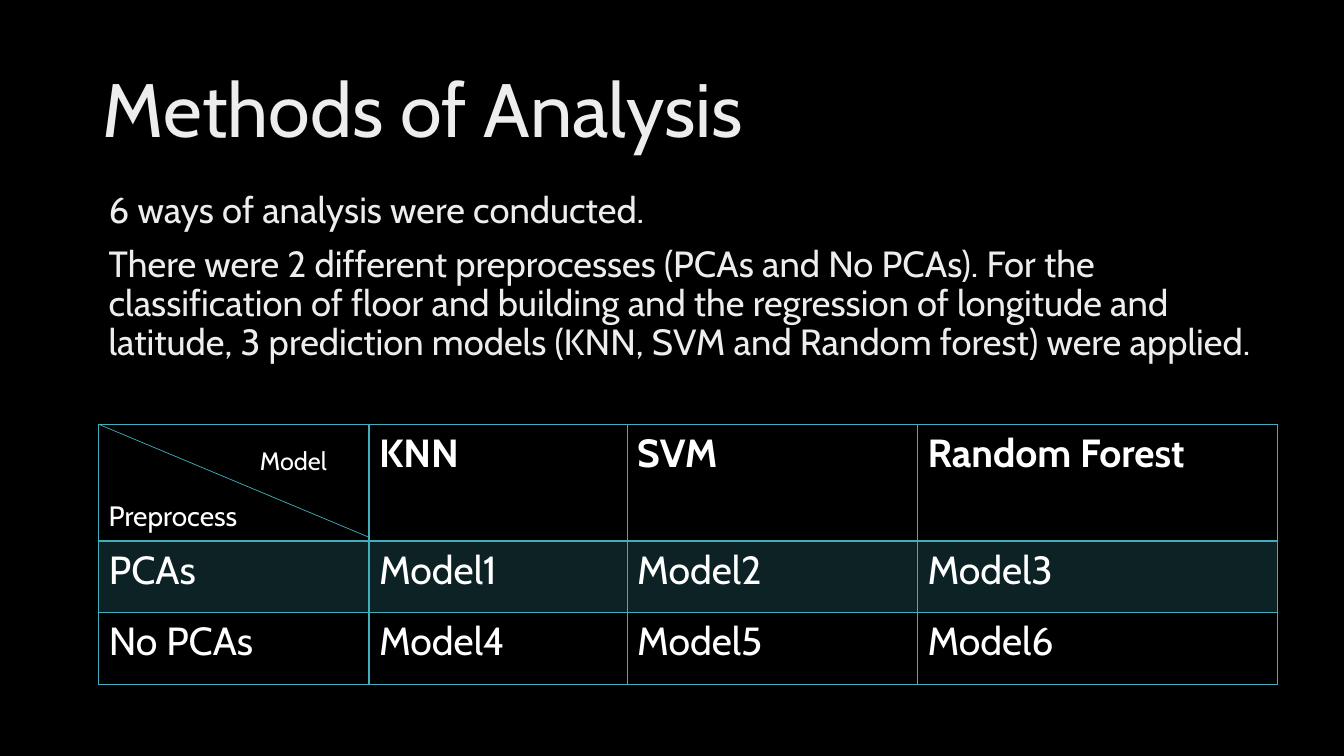
import pptx
import pptx.dml.color
import pptx.enum.shapes
import pptx.enum.text
import pptx.oxml
import pptx.oxml.ns
import pptx.util
from pptx.util import Inches

COLOURS = {"background": "000000", "heading": "EDEDED", "text": "FFFFFF", "teal": "41AEBD"}
FONT = "Cabin"
COLUMN_WIDTHS = [2.68, 2.56, 2.88, 3.57]
ROW_HEIGHTS = [1.16, 0.71, 0.71]
MODEL_GRID = [
    ["", "KNN", "SVM", "Random Forest"],
    ["PCAs", "Model1", "Model2", "Model3"],
    ["No PCAs", "Model4", "Model5", "Model6"],
]
BODY = [
    "6 ways of analysis were conducted.",
    "There were 2 different preprocesses (PCAs and No PCAs). For the classification of floor "
    "and building and the regression of longitude and latitude, 3 prediction models "
    "(KNN, SVM and Random forest) were applied.",
]


def colour(name):
    """Return the named colour."""
    return pptx.dml.color.RGBColor.from_string(COLOURS[name])


def write(frame, lines, size, colour_name, bold=False, line_spacing=None, space_before=0):
    """Fill a text frame with left-aligned paragraphs in one style."""
    frame.text = "\n".join(lines)
    for para in frame.paragraphs:
        para.alignment = pptx.enum.text.PP_ALIGN.LEFT
        para.line_spacing = line_spacing
        para.space_before = pptx.util.Pt(space_before)
        para.font.name = FONT
        para.font.size = pptx.util.Pt(size)
        para.font.bold = bold
        para.font.color.rgb = colour(colour_name)


def add_title(page, text):
    """Place and format the title placeholder."""
    title = page.shapes.title
    title.left, title.top = Inches(0.92), Inches(0.4)
    title.width, title.height = Inches(11.5), Inches(1.45)
    write(title.text_frame, [text], 54, "heading", line_spacing=0.9)
    title.text_frame.vertical_anchor = pptx.enum.text.MSO_ANCHOR.MIDDLE
    title.text_frame.auto_size = pptx.enum.text.MSO_AUTO_SIZE.NONE


def add_text(page, left, top, width, height, lines, size, colour_name, wrap=True, **spacing):
    """Add a text box."""
    box = page.shapes.add_textbox(Inches(left), Inches(top), Inches(width), Inches(height))
    box.text_frame.word_wrap = wrap
    write(box.text_frame, lines, size, colour_name, **spacing)


def set_borders(cell, widths):
    """Draw teal cell borders with widths in points for each side."""
    properties = cell._tc.get_or_add_tcPr()
    for side, width in widths.items():
        properties.append(pptx.oxml.parse_xml(
            f'<a:ln{side} {pptx.oxml.ns.nsdecls("a")} w="{pptx.util.Pt(width)}">'
            f'<a:solidFill><a:srgbClr val="{COLOURS["teal"]}"/></a:solidFill></a:ln{side}>'))


def tint(cell):
    """Fill a cell with teal at 20% opacity."""
    cell.fill.solid()
    cell.fill.fore_color.rgb = colour("teal")
    shade = cell._tc.tcPr.find("a:solidFill/a:srgbClr", pptx.oxml.ns._nsmap)
    shade.append(pptx.oxml.parse_xml(f'<a:alpha {pptx.oxml.ns.nsdecls("a")} val="20000"/>'))


def add_model_table(page):
    """Add the grid of preprocesses and models."""
    frame = page.shapes.add_table(
        len(ROW_HEIGHTS), len(COLUMN_WIDTHS), Inches(0.98), Inches(4.21),
        Inches(sum(COLUMN_WIDTHS)), Inches(sum(ROW_HEIGHTS)))
    table = frame.table
    table.horz_banding = False
    for column, width in zip(table.columns, COLUMN_WIDTHS):
        column.width = Inches(width)
    for index, (row, height, labels) in enumerate(zip(table.rows, ROW_HEIGHTS, MODEL_GRID)):
        row.height = Inches(height)
        for cell, label in zip(row.cells, labels):
            write(cell.text_frame, [label], 28, "text", bold=index == 0)
            set_borders(cell, {"L": 1, "R": 1, "T": 2 if index == 1 else 1,
                               "B": 2 if index == 0 else 1})
            if index == 1:
                tint(cell)
            else:
                cell.fill.background()


def add_diagonal(page):
    """Split the corner cell of the table with a diagonal line."""
    line = page.shapes.add_connector(
        pptx.enum.shapes.MSO_CONNECTOR.STRAIGHT,
        Inches(0.98), Inches(4.21), Inches(3.66), Inches(5.33))
    line.line.color.rgb = colour("teal")
    line.line.width = pptx.util.Pt(0.5)
    line._element.spPr.append(pptx.oxml.parse_xml(
        f'<a:effectLst {pptx.oxml.ns.nsdecls("a")}/>'))


def main():
    """Build the slide and save it."""
    deck = pptx.Presentation()
    deck.slide_width, deck.slide_height = Inches(13.33), Inches(7.5)
    page = deck.slides.add_slide(deck.slide_layouts.get_by_name("Title Only"))
    page.background.fill.solid()
    page.background.fill.fore_color.rgb = colour("background")
    add_title(page, "Methods of Analysis")
    add_text(page, 0.98, 1.86, 11.77, 1.81, BODY, 26, "heading",
             line_spacing=0.9, space_before=10)
    add_model_table(page)
    add_diagonal(page)
    add_text(page, 0.98, 4.9, 1.69, 0.44, ["Preprocess"], 20, "text")
    add_text(page, 2.48, 4.37, 0.86, 0.4, ["Model"], 18, "text", wrap=False)
    deck.save("out.pptx")


if __name__ == "__main__":
    main()
